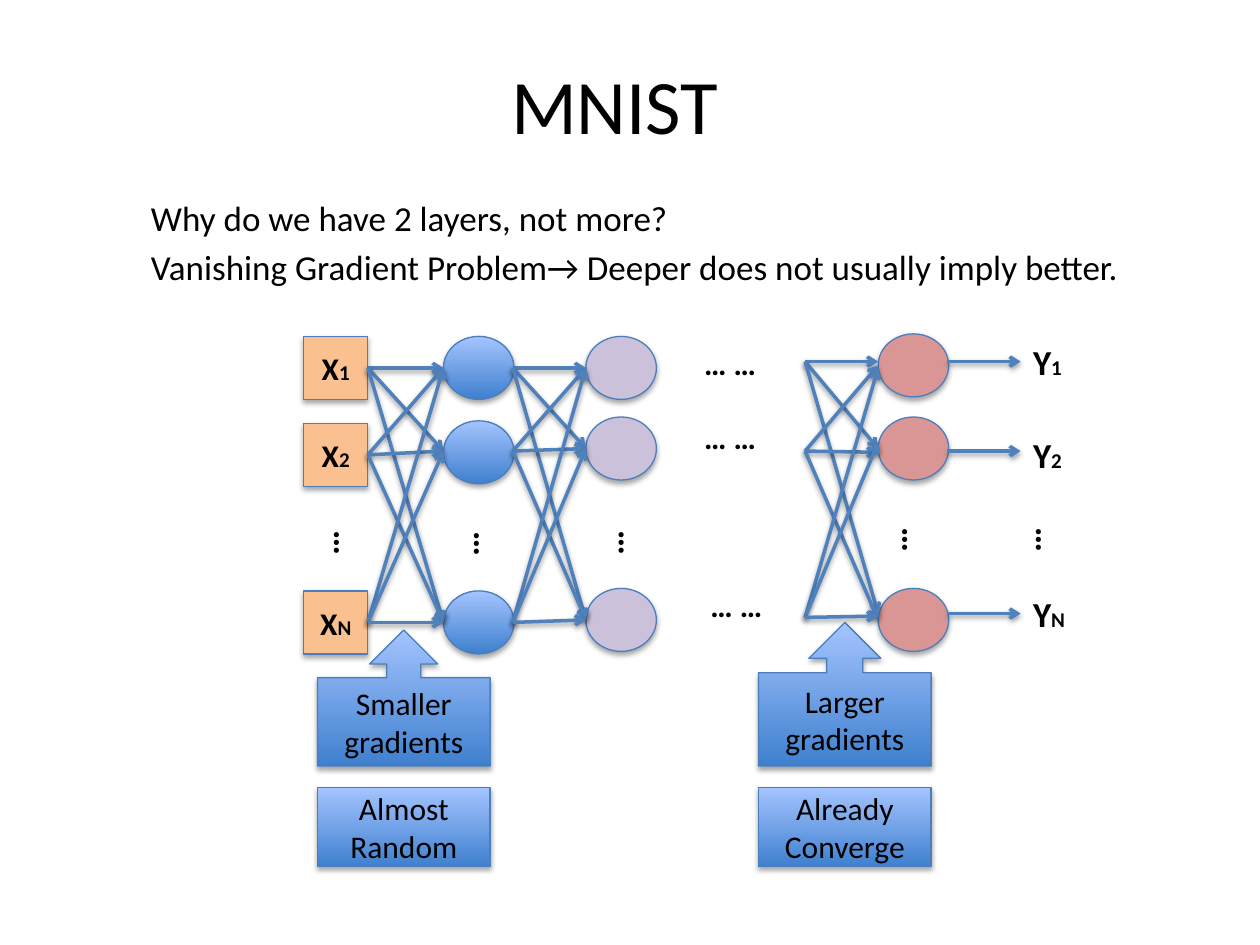
"""Build the MNIST slide on vanishing gradients in a deep network."""
from lxml.etree import SubElement
from pptx import Presentation
from pptx.dml.color import RGBColor as RGB
from pptx.enum.shapes import MSO_CONNECTOR as Link, MSO_SHAPE as Kind
from pptx.enum.text import MSO_ANCHOR as Anchor, PP_ALIGN as Align
from pptx.oxml.ns import qn
from pptx.util import Inches, Pt

BLACK = RGB(0x00, 0x00, 0x00)
PEACH = RGB(0xFA, 0xC0, 0x90)
LILAC = RGB(0xCC, 0xC1, 0xDA)
ROSE = RGB(0xD9, 0x96, 0x94)
EDGE = RGB(0x4B, 0x7E, 0xBC)
WIRE = RGB(0x4F, 0x81, 0xBD)
DEEP = RGB(0x3F, 0x80, 0xCE)
PALE = RGB(0xA4, 0xC4, 0xFF)
BLUE = (DEEP, PALE)

TITLE = "MNIST"
LINES = [
    "Why do we have 2 layers, not more?",
    "Vanishing Gradient Problem→ Deeper does not usually imply better.",
]
MARKS = ["1", "2", "N"]
LAYERS = [
    (Kind.RECTANGLE, 2.41, 0.51, (2.67, 3.36, 4.69), PEACH, "X"),
    (Kind.OVAL, 3.52, 0.56, (2.67, 3.34, 4.69), BLUE, ""),
    (Kind.OVAL, 4.65, 0.56, (2.67, 3.31, 4.67), LILAC, ""),
    (Kind.OVAL, 6.97, 0.56, (2.65, 3.31, 4.67), ROSE, ""),
]
MID = (2.92, 3.58, 4.94)
NEXT = (2.92, 3.56, 4.92)
FANS = [
    (2.92, 3.52, {2.92: MID, 3.61: MID, 4.94: MID}),
    (4.07, 4.65, {2.92: NEXT, 3.58: NEXT, 4.94: NEXT}),
    (6.39, 6.97, {2.87: (2.87, 3.56, 4.87), 3.58: (2.9, 3.59, 4.92),
                  4.9: (2.92, 3.51, 4.89)}),
    (7.52, 8.1, {2.87: (2.87,), 3.58: (3.58,), 4.87: (4.87,)}),
]
DOTS = [(2.44, 4.03), (3.55, 4.04), (4.7, 4.03), (6.95, 4.01), (8.01, 4.01)]
GAPS = [(5.49, 2.68), (5.49, 3.27), (5.54, 4.6)]
OUTS = [2.65, 3.39, 4.65]
NOTES = [
    (Kind.UP_ARROW_CALLOUT, 2.52, 5, 1.08, "Smaller gradients"),
    (Kind.UP_ARROW_CALLOUT, 6.02, 4.94, 1.14, "Larger gradients"),
    (Kind.FLOWCHART_PROCESS, 2.52, 6.25, 0.63, "Almost Random"),
    (Kind.FLOWCHART_PROCESS, 6.02, 6.25, 0.63, "Already Converge"),
]

deck = Presentation()
deck.slide_width, deck.slide_height = Inches(10), Inches(7.5)
shapes = deck.slides.add_slide(deck.slide_layouts[6]).shapes


def shade(item, alpha, dist):
    props = item._element.spPr
    glow = SubElement(SubElement(props, qn("a:effectLst")), qn("a:outerShdw"),
                      blurRad=str(Pt(3.1)), dist=str(Pt(dist)),
                      dir="5400000", rotWithShape="0")
    tint = SubElement(glow, qn("a:srgbClr"), val="000000")
    SubElement(tint, qn("a:alpha"), val=str(alpha * 1000))


def write(frame, text, size=18, bold=False, align=Align.LEFT,
          anchor=Anchor.TOP, sub="", before=0):
    frame.word_wrap = True
    frame.vertical_anchor = anchor
    for i, line in enumerate(text.split("\n")):
        para = frame.paragraphs[0] if i == 0 else frame.add_paragraph()
        para.alignment = align
        para.space_before = Pt(before)
        for part, points in ((line, size), (sub, 12)):
            if part:
                run = para.add_run()
                run.text = part
                font = run.font
                font.name, font.size, font.bold = "Calibri", Pt(points), bold
                font.color.rgb = BLACK


def label(x, y, w, h, text, **look):
    frame = shapes.add_textbox(*map(Inches, (x, y, w, h))).text_frame
    write(frame, text, **look)
    return frame


def block(kind, x, y, w, h, fill, text="", **look):
    item = shapes.add_shape(kind, *map(Inches, (x, y, w, h)))
    if fill == BLUE:
        item.fill.gradient()
        item.fill.gradient_angle = 90
        for stop, color in zip(item.fill.gradient_stops, fill):
            stop.color.rgb = color
    else:
        item.fill.solid()
        item.fill.fore_color.rgb = fill
    item.line.color.rgb = EDGE
    item.line.width = Pt(0.75)
    shade(item, 35, 1.8)
    if text:
        write(item.text_frame, text, align=Align.CENTER,
              anchor=Anchor.MIDDLE, **look)


def arrow(x, y, right, end):
    wire = shapes.add_connector(Link.STRAIGHT, *map(Inches, (x, y, right, end)))
    wire.line.color.rgb = WIRE
    wire.line.width = Pt(2)
    SubElement(wire.line._get_or_add_ln(), qn("a:tailEnd"), type="arrow")
    shade(wire, 38, 1.6)


label(0.63, 0.39, 8.5, 0.86, TITLE, size=44, align=Align.CENTER,
      anchor=Anchor.MIDDLE)
label(1.1, 1.51, 8.04, 5.28, "\n".join(LINES), size=20, before=4)

for kind, x, w, tops, fill, name in LAYERS:
    for y, mark in zip(tops, MARKS):
        block(kind, x, y, w, 0.5, fill, name, bold=True, sub=mark)

for x, right, wires in FANS:
    for y, ends in wires.items():
        for end in ends:
            arrow(x, y, right, end)

for x, y in DOTS:
    frame = label(x, y, 0.54, 0.66, "…", size=20, bold=True)
    frame.margin_top = Inches(0.18)
    frame._txBody.bodyPr.set("vert", "eaVert")

for x, y in GAPS:
    label(x, y, 0.82, 0.4, "… …", bold=True)

for y, mark in zip(OUTS, MARKS):
    label(8.1, y, 0.69, 0.44, "Y", size=20, bold=True, sub=mark)

for kind, x, y, h, text in NOTES:
    block(kind, x, y, 1.37, h, BLUE, text)

deck.save("out.pptx")
